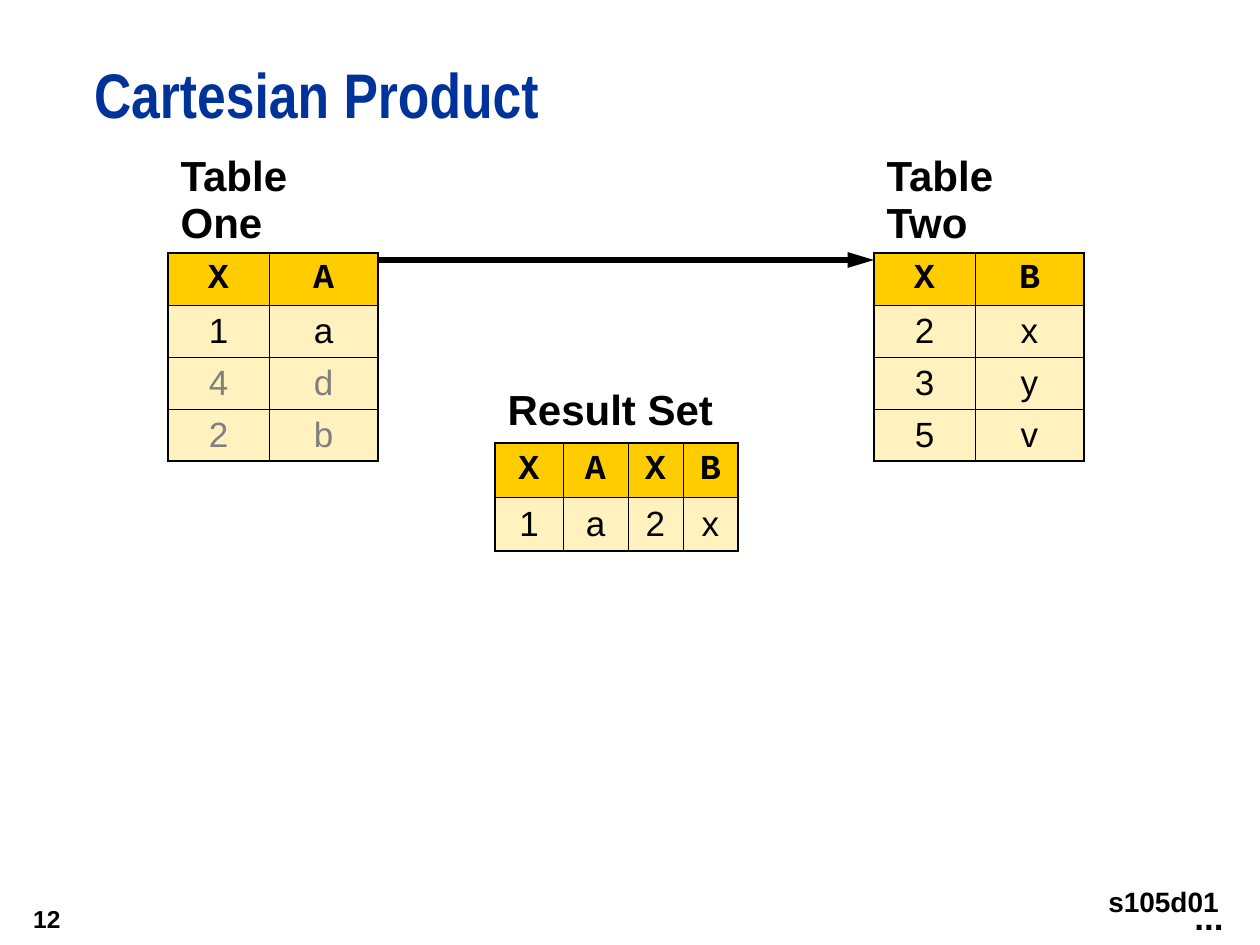
from lxml.etree import SubElement
from pptx import Presentation
from pptx.dml.color import RGBColor
from pptx.enum.shapes import MSO_CONNECTOR
from pptx.enum.text import MSO_ANCHOR as Anchor, MSO_AUTO_SIZE as AutoSize, PP_ALIGN as Align
from pptx.oxml.ns import qn
from pptx.util import Emu, Pt

PX = 914400 / 126
BLACK, GREY, BLUE = "000000", "808080", "003399"
GOLD, CREAM = "FFCC00", "FFF2BE"
OUTER, INNER = 1.08, 0.45
NO_STYLE = "{2D5ABB26-0587-4C30-8999-92F81FD0307C}"


def px(length):
    return Emu(round(length * PX))


def box_px(box):
    return [px(length) for length in box]


def rgb(value):
    return RGBColor.from_string(value)


def add_run(paragraph, text, size, color=BLACK, bold=True, font="Arial"):
    run = paragraph.add_run()
    run.text = text
    run.font.size = Pt(size)
    run.font.name = font
    run.font.bold = bold
    run.font.color.rgb = rgb(color)


def add_title(slide, box, text):
    title = slide.shapes.title
    title.left, title.top, title.width, title.height = box_px(box)
    frame = title.text_frame
    frame.margin_left = frame.margin_right = frame.margin_top = frame.margin_bottom = 0
    frame.vertical_anchor = Anchor.TOP
    frame.auto_size = AutoSize.NONE
    paragraph = frame.paragraphs[0]
    paragraph.alignment = Align.LEFT
    paragraph.line_spacing = Pt(39)
    add_run(paragraph, text, 36, BLUE, font="Arial Narrow")


def add_label(slide, box, text, size, align=Align.LEFT, anchor=Anchor.TOP, inset=6):
    frame = slide.shapes.add_textbox(*box_px(box)).text_frame
    frame.word_wrap = False
    frame.vertical_anchor = anchor
    frame.margin_top = frame.margin_bottom = px(inset)
    paragraph = frame.paragraphs[0]
    paragraph.alignment = align
    add_run(paragraph, text, size)


def set_border(cell, side, width):
    props = cell._tc.get_or_add_tcPr()
    line = SubElement(props, qn(f"a:ln{side}"), w=str(Pt(width)))
    if width:
        fill = SubElement(line, qn("a:solidFill"))
        SubElement(fill, qn("a:srgbClr"), val=BLACK)
    else:
        SubElement(line, qn("a:noFill"))


def fill_caption(table, caption, last):
    for cell in table.rows[0].cells:
        for side, width in zip("LRTB", (0, 0, 0, OUTER)):
            set_border(cell, side, width)
        cell.fill.background()
    cell = table.cell(0, 0)
    cell.merge(table.cell(0, last))
    cell.vertical_anchor = Anchor.MIDDLE
    add_run(cell.text_frame.paragraphs[0], caption, 24)


def add_relation(slide, left, top, widths, heights, caption, rows, grey_rows=()):
    box = (left, top, sum(widths), sum(heights))
    frame = slide.shapes.add_table(len(heights), len(widths), *box_px(box))
    table = frame.table
    table.first_row = table.horz_banding = False
    table._tbl.tblPr.find(qn("a:tableStyleId")).text = NO_STYLE
    for column, width in zip(table.columns, widths):
        column.width = px(width)
    for row, height in zip(table.rows, heights):
        row.height = px(height)
    last_column = len(widths) - 1
    fill_caption(table, caption, last_column)
    for r, values in enumerate(rows, 1):
        header = r == 1
        for c, value in enumerate(values):
            cell = table.cell(r, c)
            edges = (c == 0, c == last_column, header, r == len(rows))
            for side, edge in zip("LRTB", edges):
                set_border(cell, side, OUTER if edge else INNER)
            cell.fill.solid()
            cell.fill.fore_color.rgb = rgb(GOLD if header else CREAM)
            cell.vertical_anchor = Anchor.MIDDLE
            paragraph = cell.text_frame.paragraphs[0]
            paragraph.alignment = Align.CENTER
            add_run(paragraph, value, 20, GREY if r in grey_rows else BLACK,
                    header, "Courier New" if header else "Arial")


def add_arrow(slide, start, end):
    arrow = slide.shapes.add_connector(MSO_CONNECTOR.STRAIGHT, *box_px(start + end))
    arrow.line.color.rgb = rgb(BLACK)
    arrow.line.width = Pt(3)
    SubElement(arrow.line._get_or_add_ln(), qn("a:tailEnd"), type="triangle", len="lg")
    SubElement(arrow._element.spPr, qn("a:effectLst"))


def add_footer(slide):
    add_label(slide, (0, 892, 73, 53), "12", 14, Align.RIGHT, Anchor.MIDDLE)
    add_label(slide, (1182, 889, 54, 56), "...", 20)
    add_label(slide, (1087, 872, 144, 58), "s105d01", 16, Align.RIGHT, inset=13)


def main():
    deck = Presentation()
    deck.slide_width, deck.slide_height = px(1260), px(945)
    slide = deck.slides.add_slide(deck.slide_layouts[5])
    add_title(slide, (94, 63, 1166, 95), "Cartesian Product")
    add_relation(slide, 168, 147, (101, 109), (50, 42, 42, 42, 44),
                 "Table One", ("XA", "1a", "4d", "2b"), (3, 4))
    add_relation(slide, 874, 147, (101, 109), (50, 42, 42, 42, 43),
                 "Table Two", ("XB", "2x", "3y", "5v"))
    add_relation(slide, 495, 379, (68, 65, 55, 55), (64, 54, 54),
                 "Result Set", ("XAXB", "1a2x"))
    add_arrow(slide, (377, 260), (874, 260))
    add_footer(slide)
    deck.save("out.pptx")


if __name__ == "__main__":
    main()
